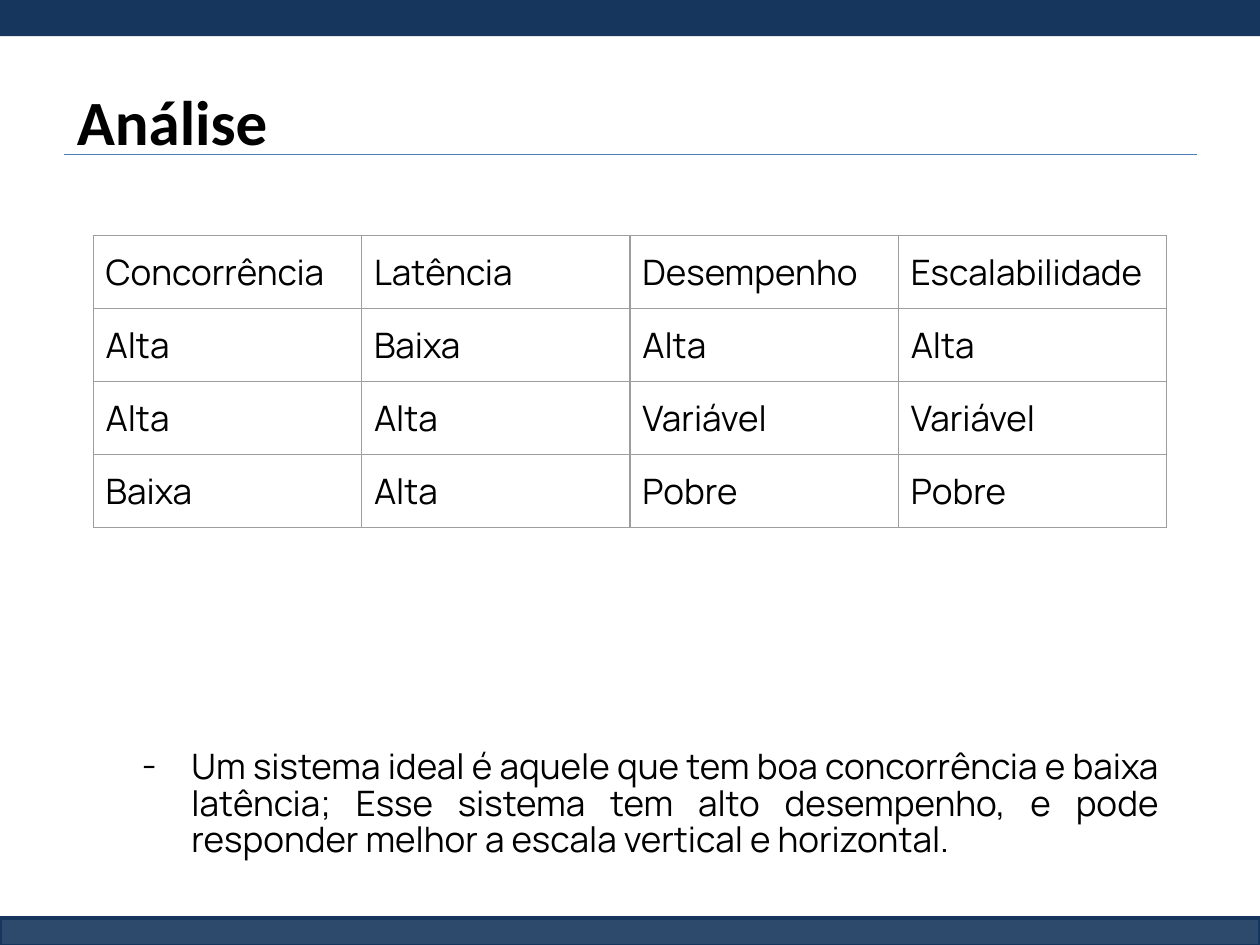
from dataclasses import dataclass

from lxml.etree import SubElement
from pptx import Presentation
from pptx.dml.color import RGBColor
from pptx.enum.shapes import MSO_CONNECTOR, MSO_SHAPE
from pptx.enum.text import MSO_ANCHOR, PP_ALIGN
from pptx.oxml.ns import qn
from pptx.util import Cm, Pt


@dataclass(frozen=True)
class Theme:
    navy: RGBColor = RGBColor(0x17, 0x36, 0x5D)
    rule: RGBColor = RGBColor(0x4A, 0x7D, 0xBA)
    grid: RGBColor = RGBColor(0x9E, 0x9E, 0x9E)
    text: RGBColor = RGBColor(0, 0, 0)
    title_font: str = "Calibri"
    body_font: str = "Manrope"
    title_size: Pt = Pt(36)
    body_size: Pt = Pt(20)
    thin_line: Pt = Pt(0.75)
    bar_line: Pt = Pt(2)
    inset: Cm = Cm(0.25)


THEME = Theme()

ROWS = [
    ["Concorrência", "Latência", "Desempenho", "Escalabilidade"],
    ["Alta", "Baixa", "Alta", "Alta"],
    ["Alta", "Alta", "Variável", "Variável"],
    ["Baixa", "Alta", "Pobre", "Pobre"],
]
CONCLUSION = (
    "Um sistema ideal é aquele que tem boa concorrência e baixa latência; "
    "Esse sistema tem alto desempenho, e pode responder melhor a escala "
    "vertical e horizontal."
)


def write_text(frame, text, font=THEME.body_font, size=THEME.body_size,
               bold=False, align=PP_ALIGN.LEFT, line_spacing=None):
    paragraph = frame.paragraphs[0]
    paragraph.alignment = align
    paragraph.line_spacing = line_spacing
    run = paragraph.add_run()
    run.text = text
    run.font.name = font
    run.font.size = size
    run.font.bold = bold
    run.font.color.rgb = THEME.text
    return paragraph


def set_margins(target, vertical=THEME.inset):
    target.margin_left = target.margin_right = THEME.inset
    target.margin_top = target.margin_bottom = vertical


def set_dash_bullet(paragraph, margin, indent):
    properties = paragraph._p.get_or_add_pPr()
    properties.set("marL", str(margin))
    properties.set("indent", str(indent))
    color = SubElement(properties, qn("a:buClr"))
    SubElement(color, qn("a:srgbClr"), val=str(THEME.text))
    SubElement(properties, qn("a:buFont"), typeface=THEME.body_font)
    SubElement(properties, qn("a:buChar"), char="-")


def set_cell_borders(cell):
    properties = cell._tc.get_or_add_tcPr()
    for position, side in enumerate(("a:lnL", "a:lnR", "a:lnT", "a:lnB")):
        line = properties.makeelement(qn(side), {"w": str(THEME.thin_line)})
        fill = SubElement(line, qn("a:solidFill"))
        SubElement(fill, qn("a:srgbClr"), val=str(THEME.grid))
        properties.insert(position, line)


def add_bar(slide, left, top, width, height, opacity=100, outlined=False):
    bar = slide.shapes.add_shape(MSO_SHAPE.RECTANGLE, left, top, width, height)
    bar.shadow.inherit = False
    bar.fill.solid()
    bar.fill.fore_color.rgb = THEME.navy
    if opacity < 100:
        color = bar._element.spPr.find(qn("a:solidFill")).find(qn("a:srgbClr"))
        SubElement(color, qn("a:alpha"), val=str(opacity * 1000))
    if outlined:
        bar.line.color.rgb = THEME.navy
        bar.line.width = THEME.bar_line
    else:
        bar.line.fill.background()


def add_heading(slide, text, left, top, width, height):
    """Place the title with a rule just above the bottom of its box."""
    rule_top = top + height - Cm(0.2)
    rule = slide.shapes.add_connector(
        MSO_CONNECTOR.STRAIGHT, left, rule_top, left + width, rule_top)
    rule.line.color.rgb = THEME.rule
    rule.line.width = THEME.thin_line
    SubElement(rule._element.spPr, qn("a:effectLst"))

    frame = slide.shapes.add_textbox(left, top, width, height).text_frame
    frame.word_wrap = True
    frame.vertical_anchor = MSO_ANCHOR.MIDDLE
    set_margins(frame, vertical=Cm(0.13))
    write_text(frame, text, font=THEME.title_font, size=THEME.title_size, bold=True)


def add_conclusion(slide, text, left, top, width, height):
    frame = slide.shapes.add_textbox(left, top, width, height).text_frame
    frame.word_wrap = True
    set_margins(frame)
    paragraph = write_text(frame, text, align=PP_ALIGN.JUSTIFY, line_spacing=0.88)
    set_dash_bullet(paragraph, margin=Cm(1.27), indent=Cm(-1))


def add_analysis_table(slide, rows, left, top, width, height):
    table = slide.shapes.add_table(
        len(rows), len(rows[0]), left, top, width, height).table
    table.first_row = False
    table.horz_banding = False
    for row_index, row in enumerate(rows):
        for column_index, text in enumerate(row):
            cell = table.cell(row_index, column_index)
            cell.fill.background()
            set_margins(cell)
            set_cell_borders(cell)
            write_text(cell.text_frame, text)


def build_analysis_slide(presentation):
    slide = presentation.slides.add_slide(presentation.slide_layouts[6])
    width = presentation.slide_width
    add_bar(slide, 0, Cm(18.51), width, Cm(0.55), opacity=90, outlined=True)
    add_bar(slide, 0, 0, width, Cm(0.73))
    add_heading(slide, "Análise", Cm(1.3), Cm(1.52), Cm(22.83), Cm(1.8))
    add_conclusion(slide, CONCLUSION, Cm(2.34), Cm(14.86), Cm(21.28), Cm(2.67))
    add_analysis_table(slide, ROWS, Cm(1.88), Cm(4.75), Cm(21.64), Cm(5.88))


def main():
    presentation = Presentation()
    presentation.slide_width = Cm(25.4)
    presentation.slide_height = Cm(19.05)
    build_analysis_slide(presentation)
    presentation.save("out.pptx")


if __name__ == "__main__":
    main()
